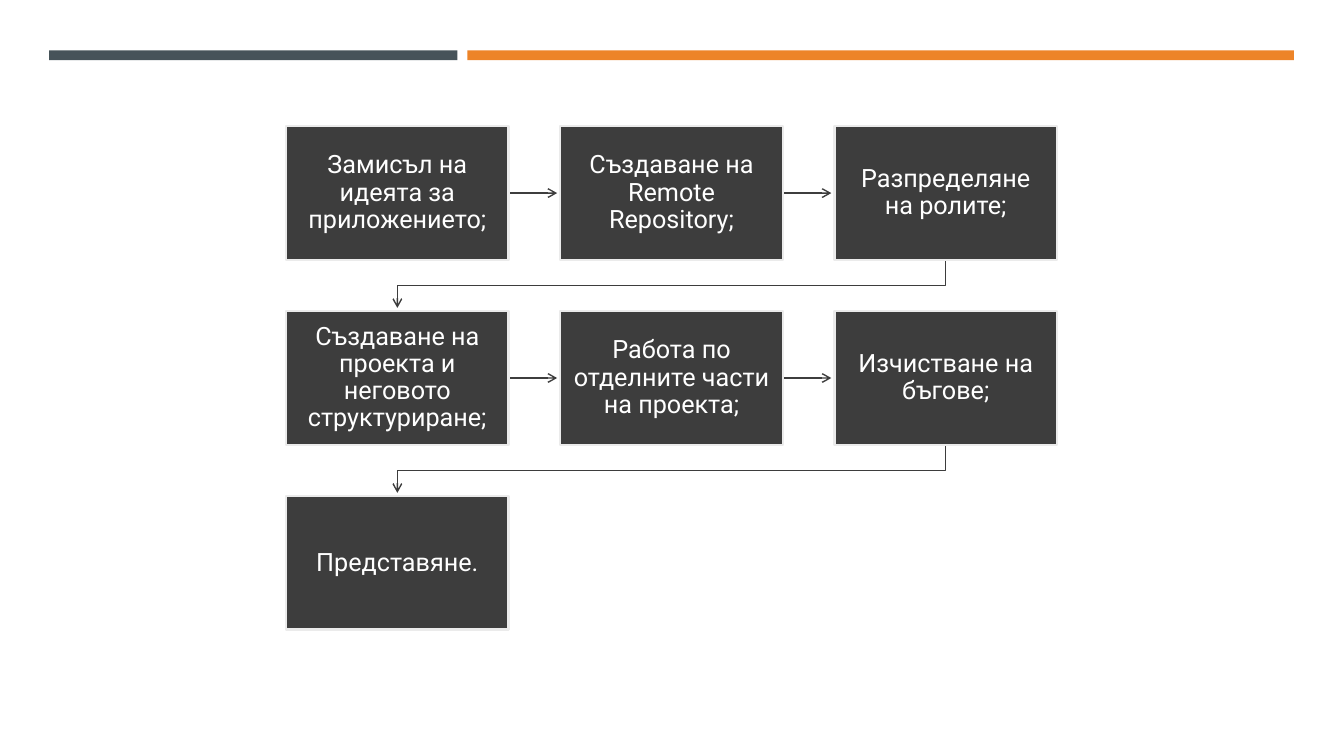
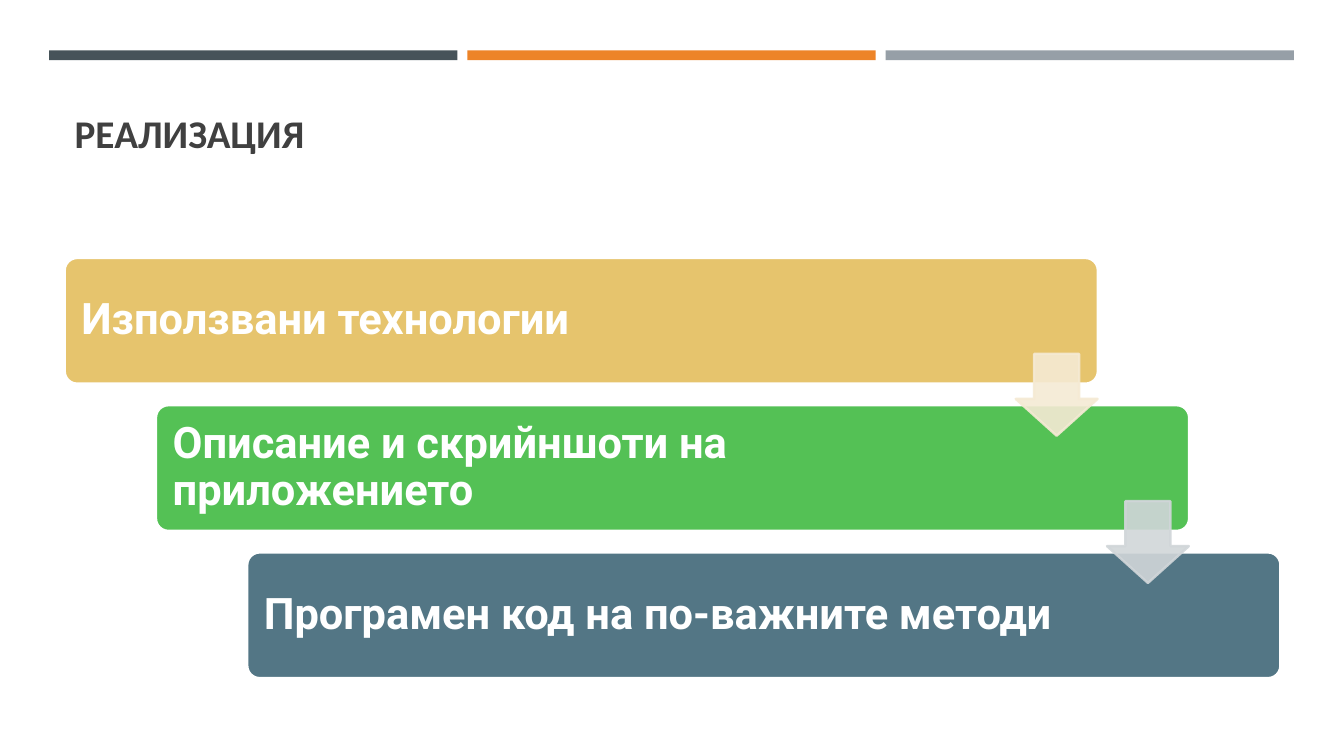
from dataclasses import dataclass

from lxml import etree
from pptx import Presentation
from pptx.dml.color import RGBColor
from pptx.enum.shapes import MSO_CONNECTOR as Link, MSO_SHAPE as Preset
from pptx.enum.text import MSO_ANCHOR as Anchor, PP_ALIGN as Align
from pptx.oxml.ns import qn
from pptx.shapes.autoshape import Shape
from pptx.slide import Slide
from pptx.util import Cm, Pt

WHITE = "FFFFFF"
SLATE = "465359"
ORANGE = "ED8428"
GREY = "969FA7"
CHARCOAL = "3D3D3D"
BOX_EDGE = "EBEBEB"
TITLE_INK = "404040"
BODY_FONT = "Roboto"
TITLE_FONT = "Calibri"

BAND_LEFT, BAND_TOP, BAND_WIDTH, BAND_HEIGHT, BAND_GAP = 1.24, 1.27, 10.29, 0.25, 0.25

BOX_LEFT, BOX_TOP, BOX_WIDTH, BOX_HEIGHT = 7.21, 3.18, 5.61, 3.37
COLUMN_PITCH, ROW_PITCH, COLUMNS = 6.91, 4.66, 3
ARROW_CLEARANCE = 0.08

BAR_LEFT, BAR_TOP, BAR_WIDTH, BAR_HEIGHT = 1.63, 6.5, 26.04, 3.17
BAR_SHIFT, BAR_PITCH = 2.3, 3.71
DROP_LEFT, DROP_TOP, DROP_SIZE = 25.6, 8.92, 2.06


@dataclass(frozen=True)
class Area:
    left: float
    top: float
    width: float
    height: float

    @property
    def right(self) -> float:
        return self.left + self.width

    @property
    def bottom(self) -> float:
        return self.top + self.height

    @property
    def center(self) -> float:
        return self.left + self.width / 2

    @property
    def middle(self) -> float:
        return self.top + self.height / 2

    def emu(self) -> tuple[Cm, Cm, Cm, Cm]:
        return Cm(self.left), Cm(self.top), Cm(self.width), Cm(self.height)


@dataclass(frozen=True)
class Band:
    color: str
    column: int
    span: int = 1


@dataclass(frozen=True)
class Topic:
    label: str
    color: str
    drop_color: str | None = None


@dataclass(frozen=True)
class TextStyle:
    font: str
    size: float
    color: str
    bold: bool = False
    align: Align = Align.LEFT
    spacing: float = 0.9


BOX_TEXT = TextStyle(BODY_FONT, 18, WHITE, align=Align.CENTER)
BAR_TEXT = TextStyle(BODY_FONT, 31, WHITE, bold=True)
TITLE_TEXT = TextStyle(TITLE_FONT, 28, TITLE_INK, bold=True, spacing=1.0)

STEPS = [
    "Замисъл на идеята за приложението;",
    "Създаване на Remote Repository;",
    "Разпределяне на ролите;",
    "Създаване на проекта и неговото структуриране;",
    "Работа по отделните части на проекта;",
    "Изчистване на бъгове;",
    "Представяне.",
]
TOPICS = [
    Topic("Използвани технологии", "E6C46D", "F5EAD4"),
    Topic("Описание и скрийншоти на приложението", "54C155", "D1D6D9"),
    Topic("Програмен код на по-важните методи", "537685"),
]


def rgb(color: str) -> RGBColor:
    return RGBColor.from_string(color)


def draw_shape(slide: Slide, preset: Preset, area: Area, fill: str,
               edge: str | None = None) -> Shape:
    shape = slide.shapes.add_shape(preset, *area.emu())
    shape.shadow.inherit = False
    shape.fill.solid()
    shape.fill.fore_color.rgb = rgb(fill)
    if edge:
        shape.line.color.rgb = rgb(edge)
        shape.line.width = Pt(1.75)
    else:
        shape.line.fill.background()
    return shape


def write(shape: Shape, label: str, style: TextStyle,
          insets: tuple[float, float, float, float]) -> None:
    frame = shape.text_frame
    frame.word_wrap = True
    frame.vertical_anchor = Anchor.MIDDLE
    frame.margin_left, frame.margin_top, frame.margin_right, frame.margin_bottom = map(Cm, insets)
    paragraph = frame.paragraphs[0]
    paragraph.alignment = style.align
    paragraph.line_spacing = style.spacing
    run = paragraph.add_run()
    run.text = label
    run.font.name = style.font
    run.font.size = Pt(style.size)
    run.font.bold = style.bold
    run.font.color.rgb = rgb(style.color)


def draw_bands(slide: Slide, bands: list[Band]) -> None:
    pitch = BAND_WIDTH + BAND_GAP
    for band in bands:
        area = Area(BAND_LEFT + band.column * pitch, BAND_TOP,
                    band.span * pitch - BAND_GAP, BAND_HEIGHT)
        draw_shape(slide, Preset.RECTANGLE, area, band.color)


def finish_arrow(arrow) -> None:
    arrow.line.color.rgb = rgb(CHARCOAL)
    arrow.line.width = Pt(1)
    etree.SubElement(arrow.line._get_or_add_ln(), qn("a:tailEnd"), type="arrow")


def link_across(slide: Slide, source: Area, target: Area) -> None:
    arrow = slide.shapes.add_connector(
        Link.STRAIGHT, Cm(source.right), Cm(source.middle),
        Cm(target.left - ARROW_CLEARANCE), Cm(target.middle))
    finish_arrow(arrow)
    etree.SubElement(arrow._element.spPr, qn("a:effectLst"))


def link_to_next_row(slide: Slide, source: Area, target: Area) -> None:
    turn = (source.bottom + target.top) / 2
    outline = slide.shapes.build_freeform(Cm(source.center), Cm(source.bottom))
    corners = [(source.center, turn), (target.center, turn),
               (target.center, target.top - ARROW_CLEARANCE)]
    outline.add_line_segments([(Cm(x), Cm(y)) for x, y in corners], close=False)
    arrow = outline.convert_to_shape()
    arrow.fill.background()
    finish_arrow(arrow)
    arrow.shadow.inherit = False


def build_process(slide: Slide) -> None:
    draw_bands(slide, [Band(SLATE, 0), Band(ORANGE, 1, span=2)])
    boxes = [Area(BOX_LEFT + index % COLUMNS * COLUMN_PITCH,
                  BOX_TOP + index // COLUMNS * ROW_PITCH, BOX_WIDTH, BOX_HEIGHT)
             for index in range(len(STEPS))]
    for source, target in zip(boxes, boxes[1:]):
        link = link_across if source.top == target.top else link_to_next_row
        link(slide, source, target)
    for step, area in zip(STEPS, boxes):
        box = draw_shape(slide, Preset.RECTANGLE, area, CHARCOAL, BOX_EDGE)
        write(box, step, BOX_TEXT, (0.28, 0.28, 0.28, 0.28))


def draw_drop(slide: Slide, index: int, color: str) -> None:
    area = Area(DROP_LEFT + index * BAR_SHIFT, DROP_TOP + index * BAR_PITCH,
                DROP_SIZE, DROP_SIZE)
    drop = draw_shape(slide, Preset.DOWN_ARROW, area, color, color)
    drop.adjustments[0], drop.adjustments[1] = 0.55, 0.45
    for tint in drop._element.spPr.iter(qn("a:srgbClr")):
        etree.SubElement(tint, qn("a:alpha"), val="90000")


def build_topics(slide: Slide) -> None:
    draw_bands(slide, [Band(SLATE, 0), Band(ORANGE, 1), Band(GREY, 2)])
    title = slide.shapes.add_textbox(*Area(1.63, 2.74, 30.63, 1.2).emu())
    write(title, "РЕАЛИЗАЦИЯ", TITLE_TEXT, (0.25, 0, 0.25, 0))
    for index, topic in enumerate(TOPICS):
        area = Area(BAR_LEFT + index * BAR_SHIFT, BAR_TOP + index * BAR_PITCH,
                    BAR_WIDTH, BAR_HEIGHT)
        bar = draw_shape(slide, Preset.ROUNDED_RECTANGLE, area, topic.color, WHITE)
        bar.adjustments[0] = 0.1
        write(bar, topic.label, BAR_TEXT, (0.33, 0.33, 4.69, 0.33))
    for index, topic in enumerate(TOPICS):
        if topic.drop_color:
            draw_drop(slide, index, topic.drop_color)


def main() -> None:
    deck = Presentation()
    deck.slide_width, deck.slide_height = Cm(33.87), Cm(19.05)
    blank = deck.slide_layouts[6]
    for build in (build_process, build_topics):
        build(deck.slides.add_slide(blank))
    deck.save("out.pptx")


if __name__ == "__main__":
    main()
